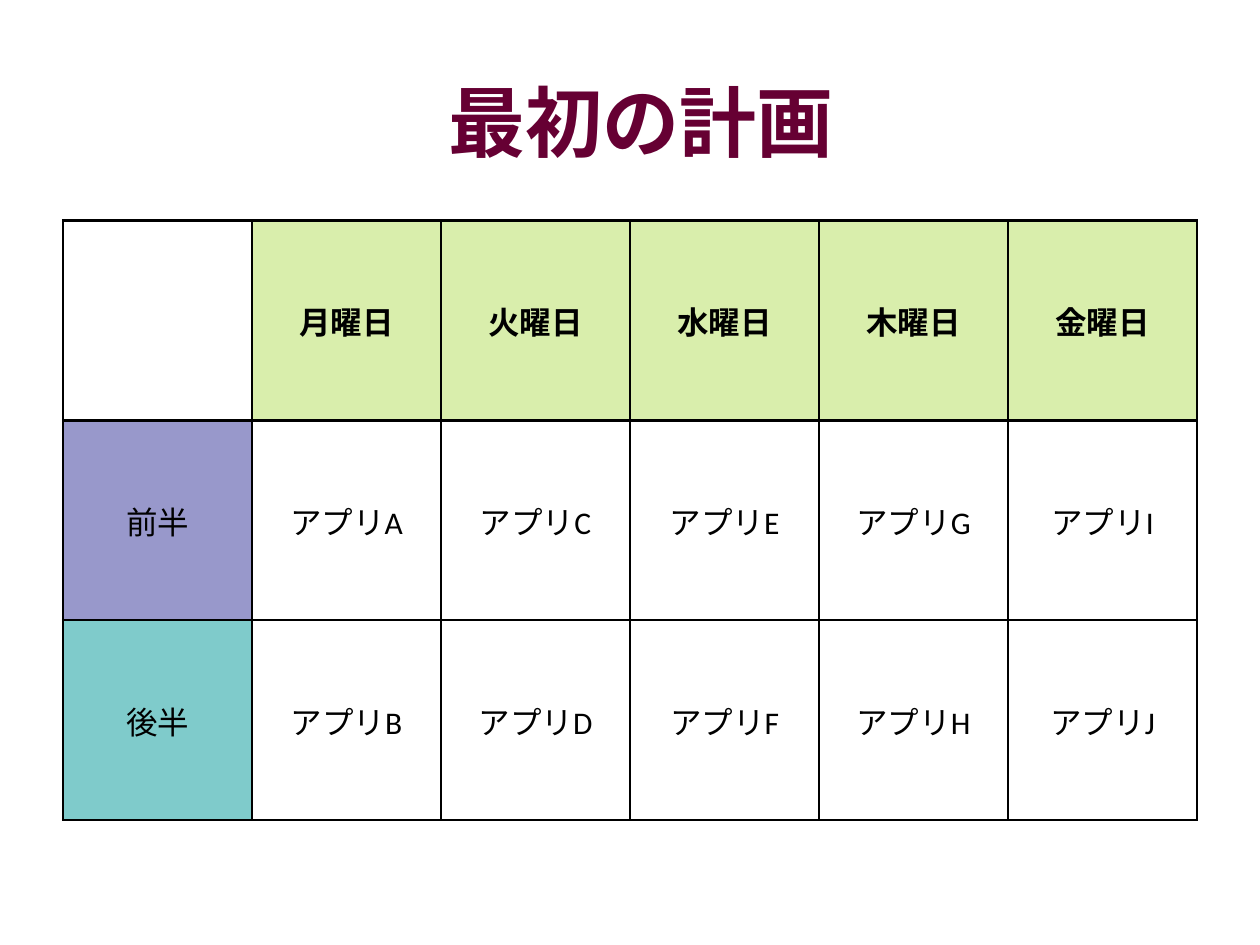
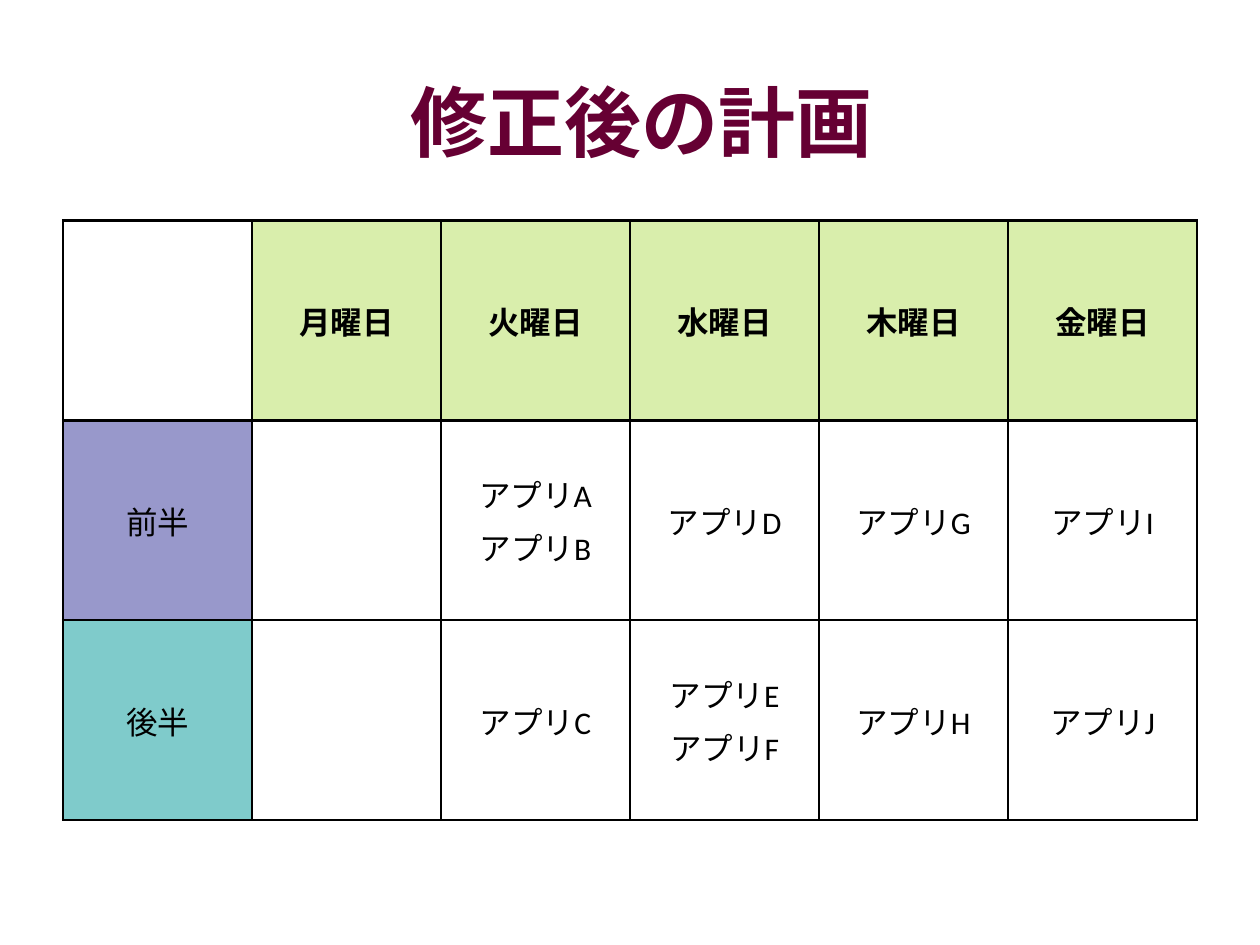
import pptx
import pptx.dml.color
import pptx.enum.lang
import pptx.enum.text
import pptx.oxml
import pptx.oxml.ns
import pptx.util
from dataclasses import dataclass

Inches = pptx.util.Inches
Pt = pptx.util.Pt
RGB = pptx.dml.color.RGBColor.from_string
CENTER = pptx.enum.text.PP_ALIGN.CENTER
MIDDLE = pptx.enum.text.MSO_ANCHOR.MIDDLE
JAPANESE = pptx.enum.lang.MSO_LANGUAGE_ID.JAPANESE

DAYS = ["月曜日", "火曜日", "水曜日", "木曜日", "金曜日"]
HALVES = ["前半", "後半"]
PLANS = [
    ("最初の計画", [["A", "C", "E", "G", "I"], ["B", "D", "F", "H", "J"]]),
    ("修正後の計画", [["", "AB", "D", "G", "I"], ["", "C", "EF", "H", "J"]]),
]


@dataclass(frozen=True)
class Theme:
    title_font: str = "Arial"
    title_size: int = 44
    title_color: str = "660033"
    cell_font: str = "Calibri"
    cell_size: int = 18
    ink: str = "000000"
    paper: str = "FFFFFF"
    day_fill: str = "B4DF5A"
    half_fills: tuple = ("333399", "009999")
    tint: int = 50
    border: float = 1.47
    paragraph_gap: float = 4.5


THEME = Theme()
TITLE_AT = (0.59, 0.36, 9, 1.19)
TABLE_AT = (0.5, 1.75, 9, 4.76)
TITLE_FORMAT = {"name": THEME.title_font, "size": Pt(THEME.title_size), "bold": True}
CELL_FORMAT = {"name": THEME.cell_font, "size": Pt(THEME.cell_size), "bold": False}
DAY_FORMAT = {**CELL_FORMAT, "bold": True}


def write(frame, lines, formats, color):
    for index, line in enumerate(lines):
        para = frame.add_paragraph() if index else frame.paragraphs[0]
        para.alignment = CENTER
        para.space_before = Pt(THEME.paragraph_gap if index else 0)
        span = para.add_run()
        span.text = line
        for name, value in {**formats, "language_id": JAPANESE}.items():
            setattr(span.font, name, value)
        span.font.color.rgb = RGB(color)


def draw_borders(cell):
    properties = cell._tc.get_or_add_tcPr()
    for side in ("lnL", "lnR", "lnT", "lnB"):
        properties.append(pptx.oxml.parse_xml(
            f'<a:{side} {pptx.oxml.ns.nsdecls("a")} w="{int(Pt(THEME.border))}">'
            f'<a:solidFill><a:srgbClr val="{THEME.ink}"/></a:solidFill></a:{side}>'))


def fill_cell(cell, color, opacity=100):
    cell.fill.solid()
    cell.fill.fore_color.rgb = RGB(color)
    if opacity < 100:
        shade = cell._tc.tcPr.find(".//" + pptx.oxml.ns.qn("a:solidFill") + "[last()]")
        shade = cell._tc.tcPr.findall(pptx.oxml.ns.qn("a:solidFill"))[0][0]
        shade.append(pptx.oxml.parse_xml(
            f'<a:alpha {pptx.oxml.ns.nsdecls("a")} val="{opacity * 1000}"/>'))


def add_title(page, text):
    title = page.shapes.title
    title.left, title.top, title.width, title.height = map(Inches, TITLE_AT)
    frame = title.text_frame
    frame.word_wrap = True
    frame.auto_size = pptx.enum.text.MSO_AUTO_SIZE.NONE
    frame.vertical_anchor = MIDDLE
    write(frame, [text], TITLE_FORMAT, THEME.title_color)


def add_schedule(page, plan):
    grid = page.shapes.add_table(
        len(HALVES) + 1, len(DAYS) + 1, *map(Inches, TABLE_AT)).table
    grid.first_row = grid.horz_banding = False
    for cell in grid.iter_cells():
        cell.vertical_anchor = MIDDLE
        draw_borders(cell)
        cell.fill.background()
    fill_cell(grid.cell(0, 0), THEME.paper)
    for column, day in enumerate(DAYS, 1):
        cell = grid.cell(0, column)
        fill_cell(cell, THEME.day_fill, THEME.tint)
        write(cell.text_frame, [day], DAY_FORMAT, THEME.ink)
    for row, (half, color, apps) in enumerate(zip(HALVES, THEME.half_fills, plan), 1):
        fill_cell(grid.cell(row, 0), color, THEME.tint)
        entries = [[half]] + [[f"アプリ{letter}" for letter in letters] for letters in apps]
        for column, lines in enumerate(entries):
            write(grid.cell(row, column).text_frame, lines, CELL_FORMAT, THEME.ink)


def main():
    deck = pptx.Presentation()
    deck.slide_width, deck.slide_height = Inches(10), Inches(7.5)
    for title, plan in PLANS:
        page = deck.slides.add_slide(deck.slide_layouts.get_by_name("Title Only"))
        add_title(page, title)
        add_schedule(page, plan)
    deck.save("out.pptx")


if __name__ == "__main__":
    main()
